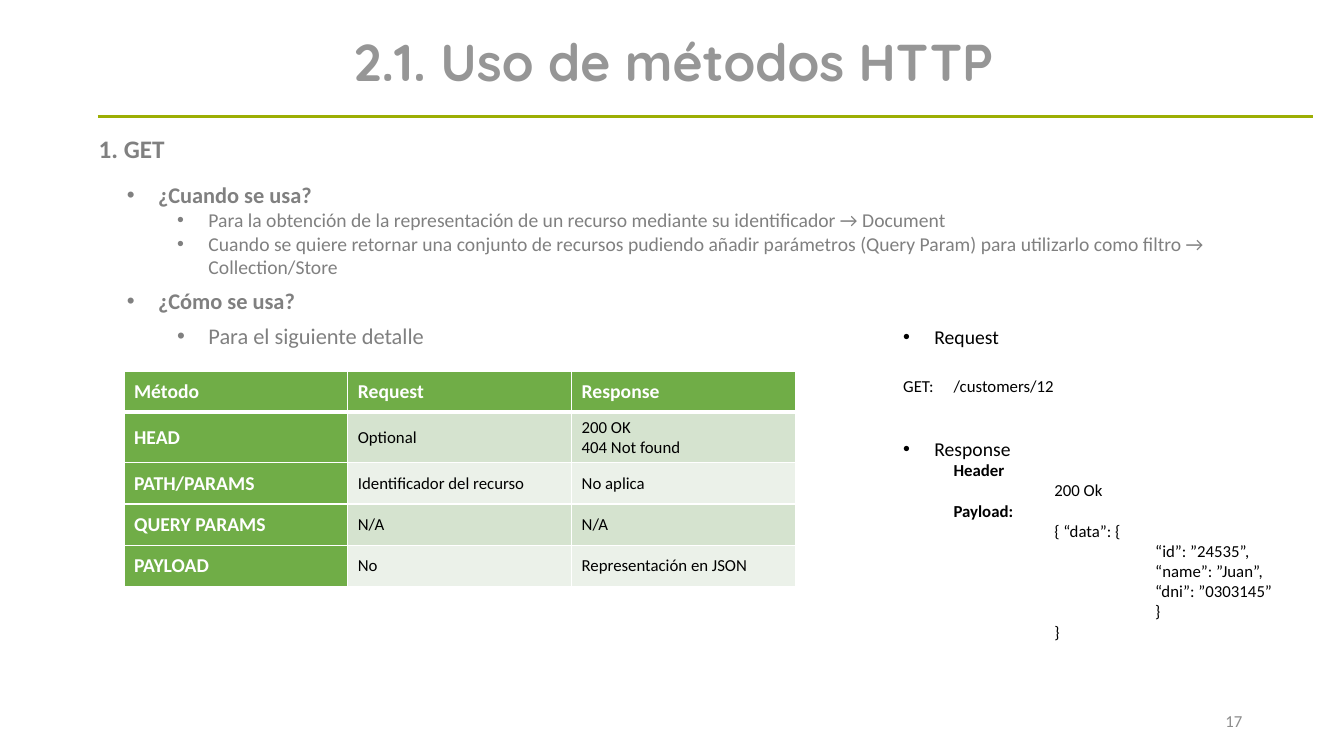
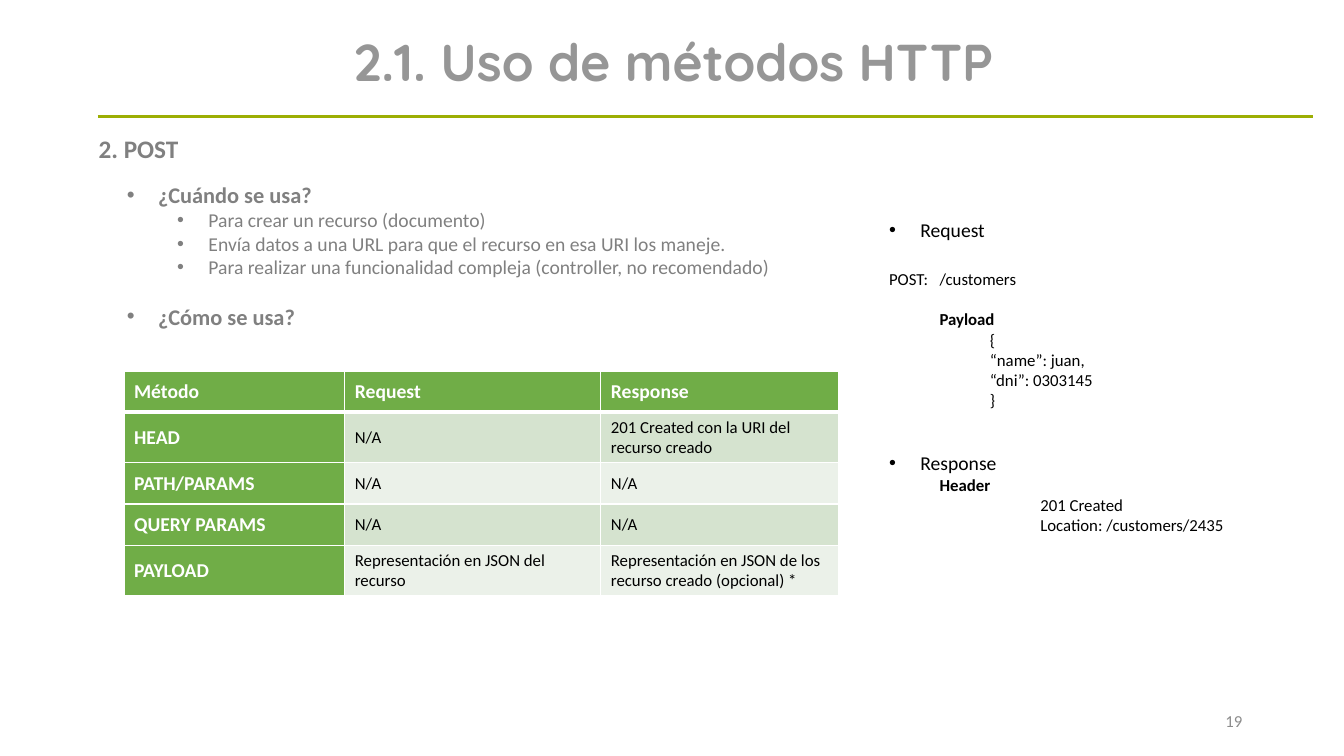
from dataclasses import dataclass
from lxml.etree import SubElement
from pptx import Presentation
from pptx.dml.color import RGBColor
from pptx.enum.shapes import MSO_CONNECTOR
from pptx.enum.text import MSO_ANCHOR as Anchor, PP_ALIGN as Align
from pptx.oxml.ns import qn
from pptx.util import Inches, Pt

TITLE = "2.1. Uso de métodos HTTP"
COLUMNS = ["Método", "Request", "Response"]

SLIDES = [
    {
        "number": "17",
        "method": "1. GET",
        "usage_height": 2.05,
        "usage": [
            ("topic", "¿Cuando se usa?"),
            ("point", "Para la obtención de la representación de un recurso mediante su identificador → Document"),
            ("point", "Cuando se quiere retornar una conjunto de recursos pudiendo añadir parámetros "
                      "(Query Param) para utilizarlo como filtro → Collection/Store"),
            ("topic", "¿Cómo se usa?", 6),
            ("detail", "Para el siguiente detalle", 6),
        ],
        "widths": [2.22, 2.22, 2.22],
        "rows": [
            ["HEAD", "Optional", "200 OK\n404 Not found"],
            ["PATH/PARAMS", "Identificador del recurso", "No aplica"],
            ["QUERY PARAMS", "N/A", "N/A"],
            ["PAYLOAD", "No", "Representación en JSON"],
        ],
        "example_at": (8.86, 3.17),
        "call_tab": 0.41,
        "example": [
            ("part", "Request"),
            ("call", "GET:\t/customers/12", 19.5),
            ("part", "Response", 29.3),
            ("label", "Header"),
            ("value", "200 Ok"),
            ("label", "Payload:"),
            ("value", "{ “data”: {"),
            ("field", "“id”: ”24535”,"),
            ("field", "“name”: ”Juan”,"),
            ("field", "“dni”: ”0303145”"),
            ("field", "}"),
            ("value", "}"),
        ],
    },
    {
        "number": "19",
        "method": "2. POST",
        "usage_height": 1.82,
        "usage": [
            ("topic", "¿Cuándo se usa?"),
            ("point", "Para crear un recurso (documento)"),
            ("point", "Envía datos a una URL para que el recurso en esa URI los maneje."),
            ("point", "Para realizar una funcionalidad compleja (controller, no recomendado)"),
            ("topic", "¿Cómo se usa?", 17.1),
        ],
        "widths": [2.19, 2.54, 2.36],
        "rows": [
            ["HEAD", "N/A", "201 Created con la URI del recurso creado"],
            ["PATH/PARAMS", "N/A", "N/A"],
            ["QUERY PARAMS", "N/A", "N/A"],
            ["PAYLOAD", "Representación en JSON del recurso",
             "Representación en JSON de los recurso creado (opcional) *"],
        ],
        "example_at": (8.72, 2.11),
        "call_tab": 0.5,
        "example": [
            ("part", "Request"),
            ("call", "POST:\t/customers", 19.5),
            ("label", "Payload", 14.65),
            ("body", "{"),
            ("body", "“name”: juan,"),
            ("body", "“dni”: 0303145"),
            ("body", "}"),
            ("part", "Response", 29.3),
            ("label", "Header"),
            ("value", "201 Created"),
            ("value", "Location: /customers/2435"),
        ],
    },
]


@dataclass(frozen=True)
class Theme:
    body: str = "Calibri"
    heading: str = "Quicksand"
    title: str = "969696"
    gray: str = "808080"
    page: str = "8C8C8C"
    black: str = "000000"
    white: str = "FFFFFF"
    rule: str = "9CAE04"
    green: str = "70AD47"
    bands: tuple = ("D5E3CF", "EBF1E9")
    title_size: int = 37
    method_size: int = 18
    topic_size: int = 16
    text_size: int = 14
    small_size: int = 12


T = Theme()
HANG = 0.31


def style(size, color, indent=0, bullet=False, bold=False, font=T.body, **paragraph):
    return {"font": {"size": Pt(size), "name": font, "bold": bold}, "color": color,
            "indent": indent, "bullet": bullet, "paragraph": paragraph}


STYLES = {
    "title": style(T.title_size, T.title, bold=True, font=T.heading, alignment=Align.CENTER, line_spacing=0.9),
    "method": style(T.method_size, T.gray, bold=True, alignment=Align.JUSTIFY, line_spacing=1.5),
    "number": style(T.small_size, T.page, alignment=Align.RIGHT),
    "topic": style(T.topic_size, T.gray, HANG, bullet=True, bold=True),
    "point": style(T.text_size, T.gray, 0.81, bullet=True, level=1),
    "detail": style(T.topic_size, T.gray, 0.81, bullet=True, level=1),
    "part": style(T.text_size, T.black, HANG, bullet=True),
    "call": style(T.small_size, T.black),
    "label": style(T.small_size, T.black, 0.5, bold=True, level=1),
    "body": style(T.small_size, T.black, 1),
    "value": style(T.small_size, T.black, 1.5, level=1),
    "field": style(T.small_size, T.black, 2.5, level=1),
    "head": style(T.text_size, T.white, bold=True),
    "cell": style(T.small_size, T.black),
}


def write_lines(frame, lines, tab=None):
    for i, (kind, text, *gap) in enumerate(lines):
        look = STYLES[kind]
        paragraph = frame.paragraphs[0] if i == 0 else frame.add_paragraph()
        props = paragraph._p.get_or_add_pPr()
        props.set("marL", str(Inches(look["indent"])))
        props.set("indent", str(Inches(-HANG if look["bullet"] else 0)))
        if look["bullet"]:
            SubElement(props, qn("a:buFont"), typeface="Arial")
            SubElement(props, qn("a:buChar"), char="•")
        if "\t" in text:
            stops = SubElement(props, qn("a:tabLst"))
            SubElement(stops, qn("a:tab"), pos=str(Inches(tab)), algn="l")
        for name, value in look["paragraph"].items():
            setattr(paragraph, name, value)
        if gap:
            paragraph.space_before = Pt(gap[0])
        run = paragraph.add_run()
        run.text = text
        for name, value in look["font"].items():
            setattr(run.font, name, value)
        run.font.color.rgb = RGBColor.from_string(look["color"])


def add_text(slide, box, lines, anchor=Anchor.TOP, tab=None):
    frame = slide.shapes.add_textbox(*map(Inches, box)).text_frame
    frame.word_wrap = True
    frame.vertical_anchor = anchor
    write_lines(frame, lines, tab)


def add_rule(slide):
    rule = slide.shapes.add_connector(MSO_CONNECTOR.STRAIGHT, *map(Inches, (0.97, 1.16, 13.02, 1.16)))
    rule.line.color.rgb = RGBColor.from_string(T.rule)
    rule.line.width = Pt(2.25)
    SubElement(rule._element.spPr, qn("a:effectLst"))


def add_border(cell, side, width):
    border = SubElement(cell._tc.get_or_add_tcPr(), qn(f"a:ln{side}"), w=str(Pt(width)))
    fill = SubElement(border, qn("a:solidFill"))
    SubElement(fill, qn("a:srgbClr"), val=T.white)


def add_method_table(slide, widths, rows):
    grid = [COLUMNS] + rows
    row_height = 0.41
    table = slide.shapes.add_table(len(grid), len(COLUMNS), Inches(1.23), Inches(3.68),
                                   Inches(sum(widths)), Inches(row_height * len(grid))).table
    for column, width in zip(table.columns, widths):
        column.width = Inches(width)
    for r, texts in enumerate(grid):
        table.rows[r].height = Inches(row_height)
        for c, text in enumerate(texts):
            cell = table.cell(r, c)
            is_head = r == 0 or c == 0
            for side in "LRTB":
                add_border(cell, side, 3 if (r, side) in ((0, "B"), (1, "T")) else 1)
            cell.fill.solid()
            cell.fill.fore_color.rgb = RGBColor.from_string(T.green if is_head else T.bands[(r - 1) % 2])
            cell.vertical_anchor = Anchor.MIDDLE
            write_lines(cell.text_frame, [("head" if is_head else "cell", line) for line in text.split("\n")])


def add_method_slide(deck, content):
    slide = deck.slides.add_slide(deck.slide_layouts[6])
    add_text(slide, (0.97, 0.22, 11.42, 0.84), [("title", TITLE)], Anchor.MIDDLE)
    add_rule(slide)
    add_text(slide, (0.88, 1.12, 12.05, 0.51), [("method", content["method"])])
    add_text(slide, (1.16, 1.75, 11.13, content["usage_height"]), content["usage"])
    add_method_table(slide, content["widths"], content["rows"])
    add_text(slide, (*content["example_at"], 4.07, 3.26), content["example"], tab=content["call_tab"])
    add_text(slide, (9.42, 6.95, 3, 0.4), [("number", content["number"])], Anchor.MIDDLE)


def main():
    deck = Presentation()
    deck.slide_width, deck.slide_height = Inches(13.33), Inches(7.5)
    for content in SLIDES:
        add_method_slide(deck, content)
    deck.save("out.pptx")


if __name__ == "__main__":
    main()
